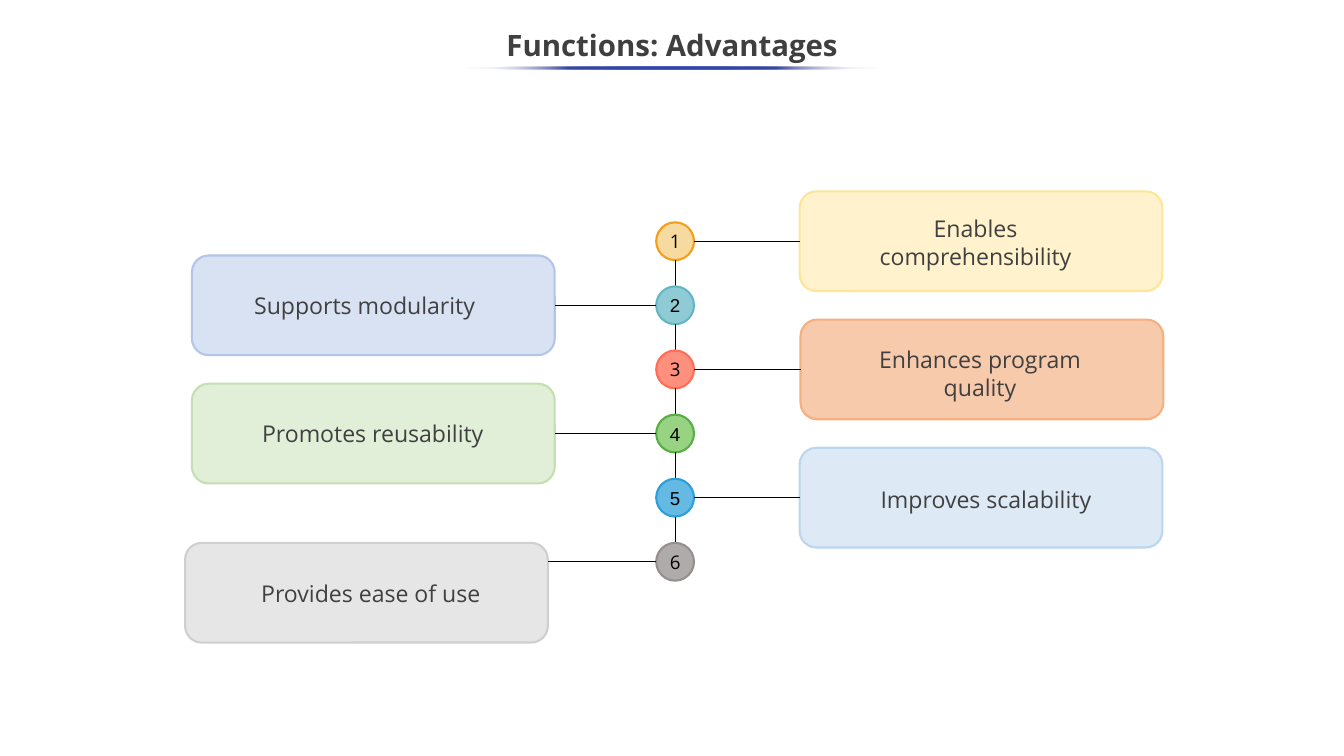
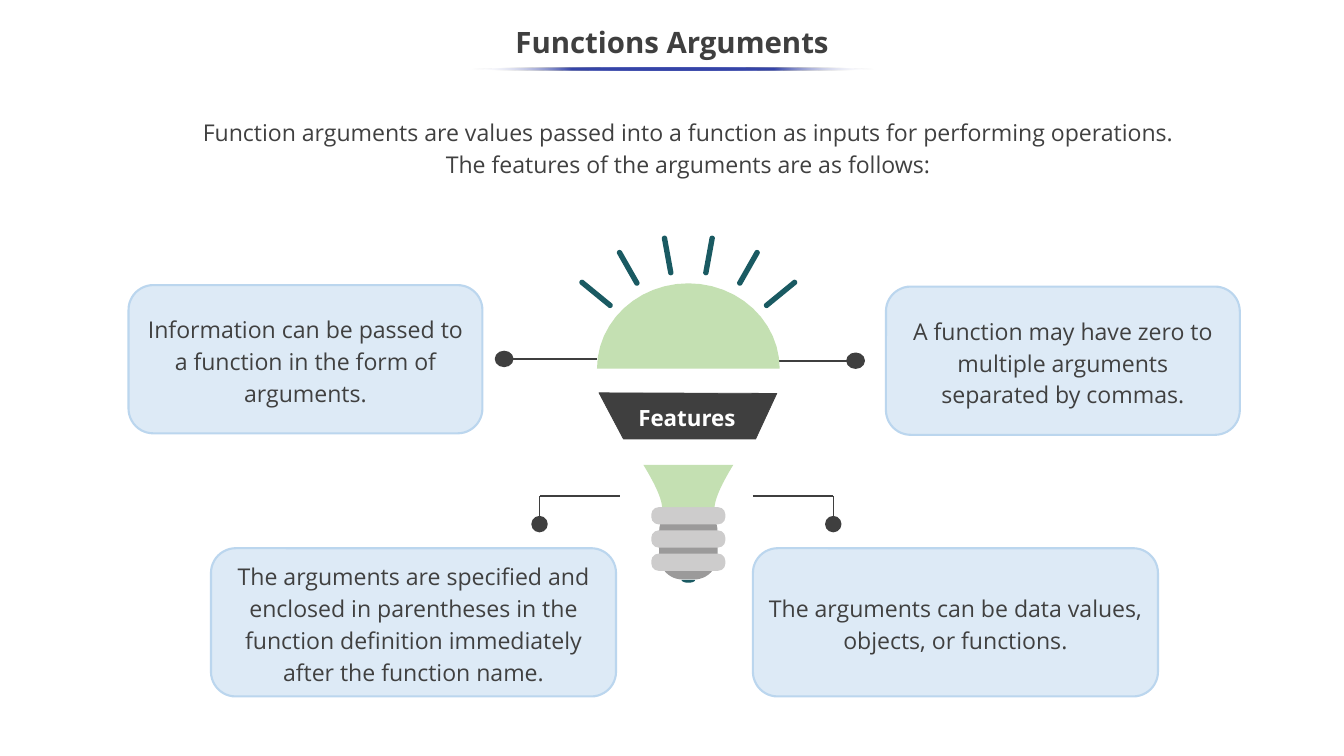
import dataclasses
import math

import lxml.etree
import pptx
import pptx.dml.color
import pptx.enum.shapes
import pptx.enum.text
import pptx.oxml.ns
import pptx.util

Cm = pptx.util.Cm
Pt = pptx.util.Pt
RGBColor = pptx.dml.color.RGBColor
SHAPES = pptx.enum.shapes.MSO_SHAPE
ALIGN = pptx.enum.text.PP_ALIGN
ANCHOR = pptx.enum.text.MSO_ANCHOR
qn = pptx.oxml.ns.qn

INK = RGBColor(0x3F, 0x3F, 0x3F)
BODY = RGBColor(0x40, 0x40, 0x40)
BLACK = RGBColor(0, 0, 0)
WHITE = RGBColor(0xFF, 0xFF, 0xFF)
INDIGO = RGBColor(0x36, 0x45, 0xA9)
SKY = RGBColor(0xDD, 0xEA, 0xF6)
SKY_EDGE = RGBColor(0xBB, 0xD6, 0xEE)
LEAF = RGBColor(0xC4, 0xE0, 0xB2)
TEAL = RGBColor(0x1A, 0x5A, 0x62)
STEEL = RGBColor(0x9B, 0x9A, 0x9A)
SILVER = RGBColor(0xCD, 0xCC, 0xCC)

SANS = "Open Sans"
ARIAL = "Arial"
CARD_CORNER = 0.167


@dataclasses.dataclass
class Box:
    left: float
    top: float
    width: float
    height: float

    @property
    def center(self):
        return self.left + self.width / 2

    @property
    def middle(self):
        return self.top + self.height / 2

    def lengths(self):
        return Cm(self.left), Cm(self.top), Cm(self.width), Cm(self.height)

    def inner(self, left, top, width, height):
        return Box(self.left + left, self.top + top, width, height)


@dataclasses.dataclass
class Advantage:
    text: str
    fill: RGBColor
    edge: RGBColor
    badge_fill: RGBColor
    badge_edge: RGBColor
    badge_font: str
    card_left: float
    label: tuple
    drop: float = 0


ADVANTAGES = [
    Advantage("Enables comprehensibility", RGBColor(0xFF, 0xF2, 0xCC), RGBColor(0xFE, 0xE5, 0x99),
              RGBColor(0xF7, 0xDA, 0x9F), RGBColor(0xF7, 0x9D, 0x19), SANS, 26.87, (1.78, 0.65, 8.26, 2.13)),
    Advantage("Supports modularity", RGBColor(0xD8, 0xE2, 0xF3), RGBColor(0xB3, 0xC6, 0xE7),
              RGBColor(0x8F, 0xCB, 0xD5), RGBColor(0x63, 0xB7, 0xC5), ARIAL, 6.45, (0.2, 1.08, 11.2, 1.2)),
    Advantage("Enhances program quality", RGBColor(0xF7, 0xCA, 0xAC), RGBColor(0xF4, 0xB0, 0x81),
              RGBColor(0xFF, 0x90, 0x7D), RGBColor(0xFF, 0x6F, 0x57), SANS, 26.9, (1.93, 0.74, 8.2, 2.13)),
    Advantage("Promotes reusability", RGBColor(0xE1, 0xEF, 0xD8), LEAF,
              RGBColor(0x98, 0xD3, 0x83), RGBColor(0x57, 0xAF, 0x43), ARIAL, 6.45, (0.03, 1.09, 12.09, 1.2)),
    Advantage("Improves scalability", SKY, SKY_EDGE,
              RGBColor(0x64, 0xBA, 0xE3), RGBColor(0x2B, 0x9F, 0xD9), ARIAL, 26.87, (2.08, 1.14, 8.36, 1.2)),
    Advantage("Provides ease of use", RGBColor(0xE7, 0xE6, 0xE6), RGBColor(0xD0, 0xCE, 0xCE),
              RGBColor(0xAF, 0xAB, 0xAB), RGBColor(0x95, 0x8F, 0x8F), SANS, 6.22, (2.06, 1.09, 8.36, 1.2), 1.04),
]

FEATURES = [
    (Box(4.32, 9.58, 11.89, 4.98), "Information can be passed to a function in the form of arguments."),
    (Box(29.77, 9.63, 11.89, 4.98), "A function may have zero to multiple arguments separated by commas."),
    (Box(7.09, 18.42, 13.61, 4.98), "The arguments are specified and enclosed in parentheses in the "
                                    "function definition immediately after the function name."),
    (Box(25.3, 18.42, 13.61, 4.98), "The arguments can be data values, objects, or functions."),
]

INTRODUCTION = [
    "Function arguments are values passed into a function as inputs for performing operations.",
    "The features of the arguments are as follows:",
]


def paint(shape, fill, edge=None, width=2):
    shape.shadow.inherit = False
    shape.fill.solid()
    shape.fill.fore_color.rgb = fill
    if edge is None:
        shape.line.fill.background()
    else:
        shape.line.color.rgb = edge
        shape.line.width = Pt(width)


def write(shape, lines, size=22, color=BODY, font=SANS, bold=False, align=ALIGN.CENTER,
          anchor=ANCHOR.TOP, spacing=None):
    frame = shape.text_frame
    frame.word_wrap = True
    frame.vertical_anchor = anchor
    for index, line in enumerate(lines):
        paragraph = frame.add_paragraph() if index else frame.paragraphs[0]
        paragraph.alignment = align
        if spacing:
            paragraph.line_spacing = spacing
        run = paragraph.add_run()
        run.text = line
        run.font.name = font
        run.font.size = Pt(size)
        run.font.bold = bold
        run.font.color.rgb = color


def add_label(slide, box, lines, **style):
    write(slide.shapes.add_textbox(*box.lengths()), lines, **style)


def add_preset(slide, kind, box, fill, edge=None, corner=None):
    shape = slide.shapes.add_shape(kind, *box.lengths())
    if corner is not None:
        shape.adjustments[0] = corner
    paint(shape, fill, edge)
    return shape


def add_line(slide, start, end, color=BLACK, width=0.75):
    connector = slide.shapes.add_connector(
        pptx.enum.shapes.MSO_CONNECTOR.STRAIGHT, *(Cm(value) for value in (*start, *end)))
    connector.line.color.rgb = color
    connector.line.width = Pt(width)
    lxml.etree.SubElement(connector._element.spPr, qn("a:effectLst"))
    return connector


def add_outline(slide, points, fill, edge=None):
    corners = [(Cm(x), Cm(y)) for x, y in points]
    builder = slide.shapes.build_freeform(*corners[0], scale=1.0)
    builder.add_line_segments(corners[1:], close=True)
    shape = builder.convert_to_shape()
    paint(shape, fill, edge, 0.75)


def arc(x, y, radius_x, radius_y, start, sweep=math.pi, steps=24):
    angles = [start + sweep * step / steps for step in range(steps + 1)]
    return [(x + radius_x * math.cos(angle), y + radius_y * math.sin(angle)) for angle in angles]


def curve(points, steps=12):
    weights = (1, 3, 3, 1)
    return [tuple(sum(weight * (1 - t) ** (3 - power) * t ** power * point[axis]
                      for power, (weight, point) in enumerate(zip(weights, points)))
                  for axis in (0, 1))
            for t in (step / steps for step in range(steps + 1))]


def draw_title(slide, box, text, underline):
    add_label(slide, box, [text], size=28, color=INK, bold=True, anchor=ANCHOR.MIDDLE, spacing=0.9)
    shape = add_preset(slide, SHAPES.OVAL, underline, INDIGO)
    shape.fill.gradient()
    shape.fill.gradient_angle = 0
    stops = shape._element.spPr.find(qn("a:gradFill")).find(qn("a:gsLst"))
    for stop in list(stops):
        stops.remove(stop)
    for position, color in ((0, WHITE), (25, INDIGO), (75, INDIGO), (100, WHITE)):
        stop = lxml.etree.SubElement(stops, qn("a:gs"), pos=str(position * 1000))
        value = lxml.etree.SubElement(stop, qn("a:srgbClr"), val=str(color))
        if color == WHITE:
            lxml.etree.SubElement(value, qn("a:alpha"), val="0")


def draw_advantage(slide, badge_box, number, advantage):
    badge = add_preset(slide, SHAPES.OVAL, badge_box, advantage.badge_fill, advantage.badge_edge)
    write(badge, [str(number)], size=17.8, color=BLACK, font=advantage.badge_font, anchor=ANCHOR.MIDDLE)

    height = 3.35
    card_box = Box(advantage.card_left, badge_box.middle - height / 2 + advantage.drop, 12.19, height)
    card = add_preset(slide, SHAPES.ROUNDED_RECTANGLE, card_box, advantage.fill, advantage.edge, CARD_CORNER)
    on_right = card_box.left > badge_box.left
    badge_side = badge_box.left + (badge_box.width if on_right else 0)
    card_side = card_box.left + (0 if on_right else card_box.width)
    branch = add_line(slide, (badge_side, badge_box.middle), (card_side, badge_box.middle))
    if not advantage.drop:
        branch.end_connect(card, 1 if on_right else 3)
    add_label(slide, card_box.inner(*advantage.label), [advantage.text])


def draw_advantages(slide, box):
    size = box.width
    pitch = (box.height - size) / (len(ADVANTAGES) - 1)
    for index, advantage in enumerate(ADVANTAGES):
        badge_box = box.inner(0, index * pitch, size, size)
        if index:
            add_line(slide, (box.center, badge_box.top - pitch + size), (box.center, badge_box.top))
        draw_advantage(slide, badge_box, index + 1, advantage)


def draw_arm(slide, start, reach, drop, dot_width):
    x, y = start
    add_line(slide, start, (x + reach, y), INK, 1.5)
    if drop:
        add_line(slide, (x + reach, y), (x + reach, y + drop), INK, 1.5)
    dot_height = 0.48
    dot = Box(x + reach - dot_width / 2, y + drop - dot_height / 2, dot_width, dot_height)
    add_preset(slide, SHAPES.OVAL, dot, INK, INK)


def draw_bulb(slide, box):
    def place(points):
        return [(box.center + x, box.top + y) for x, y in points]

    def centered(top, width, height):
        return box.inner((box.width - width) / 2, top, width, height)

    for outer, inner in (((0.8, 0.09), (0.59, 1.24)),
                         ((2.31, 0.57), (1.73, 1.59)),
                         ((3.57, 1.57), (2.63, 2.34))):
        turn = math.atan2(outer[1] - inner[1], outer[0] - inner[0]) - math.pi / 2
        ray = arc(*outer, 0.09, 0.09, turn) + arc(*inner, 0.09, 0.09, turn + math.pi)
        for side in (1, -1):
            add_outline(slide, place([(side * x, y) for x, y in ray]), TEAL)

    add_outline(slide, place(arc(0, 4.47, 3.07, 2.87, math.pi)), LEAF)
    add_outline(slide, place([(-3, 5.28), (-2.18, 6.83), (2.26, 6.83), (2.97, 5.3)]), INK, INK)
    add_label(slide, box.inner(box.width / 2 - 1.93, 5.54, 3.96, 1.17), ["Features"],
              size=21.3, color=WHITE, bold=True, align=ALIGN.LEFT)

    add_preset(slide, SHAPES.ROUNDED_RECTANGLE, centered(9.14, 1.96, 2.41), STEEL, corner=0.4)
    for index in range(3):
        add_preset(slide, SHAPES.ROUNDED_RECTANGLE, centered(9.12 + index * 0.78, 2.49, 0.58), SILVER, corner=0.43)
    add_outline(slide, place(arc(0, 11.56, 0.23, 0.1, 0)), TEAL)

    neck = curve([(1.51, 7.7), (1.22, 8.18), (0.91, 8.74), (0.88, 9.12)])
    add_outline(slide, place(neck + [(-x, y) for x, y in reversed(neck)]), LEAF)


def draw_feature(slide, box, text):
    card = add_preset(slide, SHAPES.ROUNDED_RECTANGLE, box, SKY, SKY_EDGE, CARD_CORNER)
    write(card, [text], anchor=ANCHOR.MIDDLE, spacing=1.15)


def build_advantages(slide):
    draw_advantages(slide, Box(22.05, 7.47, 1.27, 12.04))
    draw_title(slide, Box(0, 0.64, 45.16, 1.9), "Functions: Advantages", Box(15.62, 2.24, 13.92, 0.1))


def build_arguments(slide):
    add_label(slide, Box(5.38, 3.73, 35.48, 2.41), INTRODUCTION, spacing=1.15)
    for box, text in FEATURES:
        draw_feature(slide, box, text)
    draw_arm(slide, (20.07, 12.06), -3.13, 0, 0.56)
    draw_arm(slide, (25.63, 12.12), 3.12, 0, 0.56)
    draw_arm(slide, (20.83, 16.66), -2.7, 0.95, 0.48)
    draw_arm(slide, (25.3, 16.66), 2.7, 0.95, 0.48)
    draw_bulb(slide, Box(19.46, 7.92, 7.34, 11.66))
    draw_title(slide, Box(0, 0.53, 45.16, 1.9), "Functions Arguments", Box(15.85, 2.26, 13.54, 0.1))


def main():
    presentation = pptx.Presentation()
    presentation.slide_width = Cm(45.16)
    presentation.slide_height = Cm(25.4)
    for build in (build_advantages, build_arguments):
        build(presentation.slides.add_slide(presentation.slide_layouts[6]))
    presentation.save("out.pptx")


if __name__ == "__main__":
    main()
